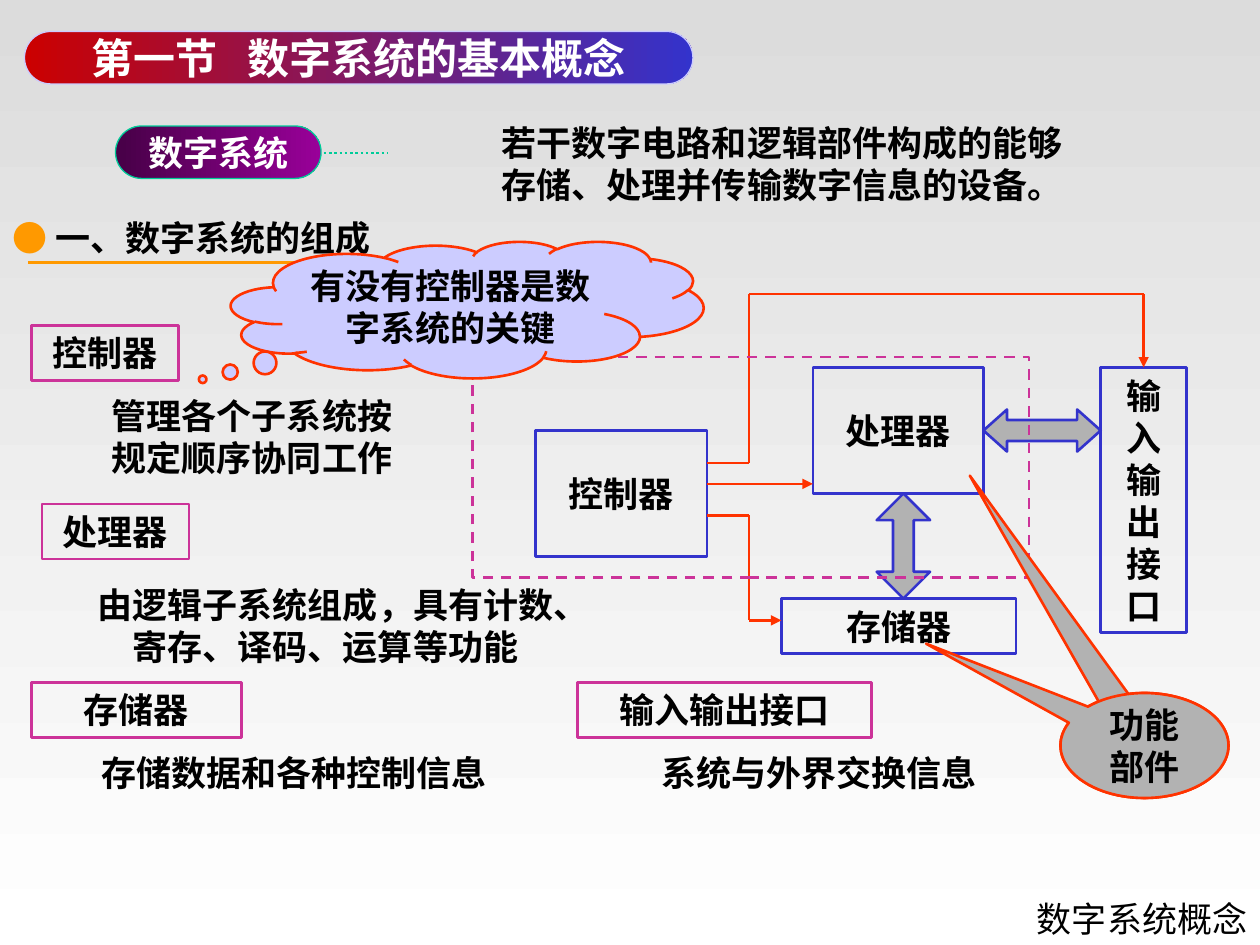
import lxml.etree
import pptx
import pptx.dml.color
import pptx.enum.dml
import pptx.enum.shapes
import pptx.enum.text
import pptx.oxml.ns
import pptx.util

Pt = pptx.util.Pt
PRESET = pptx.enum.shapes.MSO_SHAPE
ALIGN = pptx.enum.text.PP_ALIGN
ANCHOR = pptx.enum.text.MSO_ANCHOR
DASH = pptx.enum.dml.MSO_LINE

THEME = dict(
    font="Times New Roman", head=24, body=20, rule=1.5, hairline=0.75, underline=2.25,
    black="000000", white="FFFFFF", blue="3333CC", red="FF3300", pink="CC3399",
    orange="FF9900", teal="00CC99", grey="B2B2B2", lilac="CCCCFF",
    backdrop=("DCDCDC", "FFFFFF"), banner=("CC0000", "3333CC"), pill=("470047", "990099"),
)

TITLE = "数字系统概念"
BANNER = ("第一节", "数字系统的基本概念")
BANNER_GAP = 12
HEADING = ("● ", "一、数字系统的组成")
TERM = "数字系统"
CLOUD = "有没有控制器是数字系统的关键"
PARTS = "功能部件"

UNITS = [
    ("控制器", (306, 246, 98, 72)),
    ("处理器", (464.5, 210, 97.5, 72)),
    ("输入输出接口", (629, 210, 49, 151.5)),
    ("存储器", (446.5, 342, 134, 31.5)),
]
BUSES = [
    (PRESET.UP_DOWN_ARROW, (501, 282, 30.5, 60), (0.5, 0.39)),
    (PRESET.LEFT_RIGHT_ARROW, (562, 234, 67, 24), (0.5, 0.56)),
]
ROUTES = [
    [(404, 276.5), (464.5, 276.5)],
    [(404, 294.5), (428, 294.5), (428, 354.5), (446.5, 354.5)],
    [(404, 264.5), (428, 264.5), (428, 168), (653.5, 168), (653.5, 210)],
]
LABELS = [
    ("控制器", (18, 186, 84, 31.5)),
    ("处理器", (24, 288, 84, 31.5)),
    ("输入输出接口", (330, 390, 168, 31.5)),
    ("存储器", (18, 390, 120, 31.5)),
]
NOTES = [
    ("若干数字电路和逻辑部件构成的能够存储、处理并传输数字信息的设备。", (270, 66, 354, 55.5)),
    ("管理各个子系统按规定顺序协同工作", (48, 222, 192, 55.5)),
    ("由逻辑子系统组成，具有计数、寄存、译码、运算等功能", (48, 330, 276, 55.5)),
    ("系统与外界交换信息", (354, 426, 228, 31.5)),
    ("存储数据和各种控制信息", (30, 426, 276, 31.5)),
]
PARTS_BOX = (606, 396, 96, 60)
PARTS_TAILS = [((-1.04, -2.57), None), ((-1.3, -0.97), PARTS)]


def rgb(name):
    return pptx.dml.color.RGBColor.from_string(THEME.get(name, name))


def paint(fill, colour, angle=0):
    if colour is None:
        fill.background()
    elif isinstance(THEME[colour], tuple):
        fill.gradient()
        fill.gradient_angle = angle
        for stop, shade in zip(fill.gradient_stops, THEME[colour]):
            stop.color.rgb = rgb(shade)
    else:
        fill.solid()
        fill.fore_color.rgb = rgb(colour)


def stroke(line, colour, width="rule", dash=None):
    line.color.rgb = rgb(colour)
    line.width = Pt(THEME[width])
    if dash:
        line.dash_style = dash


def add_run(paragraph, text, colour="black", size="body", bold=True):
    run = paragraph.add_run()
    run.text = text
    run.font.name = THEME["font"]
    run.font.size = Pt(THEME[size])
    run.font.bold = bold
    run.font.color.rgb = rgb(colour)
    return run


def set_frame(holder, align=ALIGN.CENTER, anchor=ANCHOR.TOP, wrap=True, inset=(7.2, 3.6)):
    frame = holder.text_frame
    frame.auto_size = pptx.enum.text.MSO_AUTO_SIZE.NONE
    frame.word_wrap = wrap
    frame.vertical_anchor = anchor
    frame.margin_left = frame.margin_right = Pt(inset[0])
    frame.margin_top = frame.margin_bottom = Pt(inset[1])
    frame.paragraphs[0].alignment = align
    return frame.paragraphs[0]


def add_preset(preset, box, fill=None, line="blue", width="rule", dash=None, adjust=()):
    shape = slide.shapes.add_shape(preset, *map(Pt, box))
    shape.shadow.inherit = False
    for index, value in enumerate(adjust):
        shape.adjustments[index] = value
    paint(shape.fill, fill)
    stroke(shape.line, line, width, dash)
    return shape


def add_pill(box, fill, line):
    pill = add_preset(PRESET.ROUNDED_RECTANGLE, box, fill, line, "hairline", adjust=(0.5,))
    return set_frame(pill, anchor=ANCHOR.MIDDLE, wrap=False, inset=(0, 0))


def add_line(start, end, colour, width="rule", dash=None, arrow=False):
    line = slide.shapes.add_connector(
        pptx.enum.shapes.MSO_CONNECTOR.STRAIGHT, *map(Pt, start + end))
    stroke(line.line, colour, width, dash)
    properties = line.element.spPr
    if arrow:
        outline = properties.find(pptx.oxml.ns.qn("a:ln"))
        lxml.etree.SubElement(outline, pptx.oxml.ns.qn("a:tailEnd"), type="triangle")
    lxml.etree.SubElement(properties, pptx.oxml.ns.qn("a:effectLst"))
    return line


deck = pptx.Presentation()
deck.slide_width, deck.slide_height = Pt(720), Pt(540)
slide = deck.slides.add_slide(deck.slide_layouts[5])
paint(slide.background.fill, "backdrop", 270)

title = slide.shapes.title
title.left, title.top, title.width, title.height = map(Pt, (493, 510, 227, 30))
add_run(set_frame(title, ALIGN.RIGHT, ANCHOR.MIDDLE), TITLE, bold=False)

banner = add_pill((14, 18, 382, 30), "banner", "lilac")
add_run(banner, BANNER[0], "white", "head")
gap = add_run(banner, " ", "white", "head")
gap.font._element.set("spc", str(BANNER_GAP * 100))
add_run(banner, BANNER[1], "white", "head")

heading = set_frame(slide.shapes.add_textbox(*map(Pt, (0, 120, 288, 31.5))), ALIGN.LEFT)
add_run(heading, HEADING[0], "orange", bold=False)
add_run(heading, HEADING[1])
add_line((16, 150), (208, 150), "orange", "underline")

units = {}
for name, box in UNITS:
    units[name] = add_preset(PRESET.RECTANGLE, box)
    add_run(set_frame(units[name], anchor=ANCHOR.MIDDLE), name)
for preset, box, adjust in BUSES:
    add_preset(preset, box, "grey", adjust=adjust)
for route in ROUTES:
    for start, end in zip(route, route[1:]):
        segment = add_line(start, end, "red", arrow=end == route[-1])
segment.end_connect(units["输入输出接口"], 0)

add_run(add_pill((66, 72, 117.5, 30), "pill", "teal"), TERM, "white")
add_line((185, 87.5), (222, 87.5), "teal", dash=DASH.ROUND_DOT)
add_preset(PRESET.RECTANGLE, (270, 204, 318, 126), line="pink", dash=DASH.DASH)

for name, box in LABELS:
    add_run(set_frame(add_preset(PRESET.RECTANGLE, box, line="pink")), name)
for note, box in NOTES:
    add_run(set_frame(slide.shapes.add_textbox(*map(Pt, box))), note)

cloud = add_preset(PRESET.CLOUD_CALLOUT, (132, 138, 270, 78), "lilac", "red",
                   adjust=(-0.56, 0.51))
add_run(set_frame(cloud, anchor=ANCHOR.MIDDLE), CLOUD)
for tail, text in PARTS_TAILS:
    callout = add_preset(PRESET.OVAL_CALLOUT, PARTS_BOX, "grey", "red", adjust=tail)
    if text:
        add_run(set_frame(callout, anchor=ANCHOR.MIDDLE), text)

deck.save("out.pptx")
